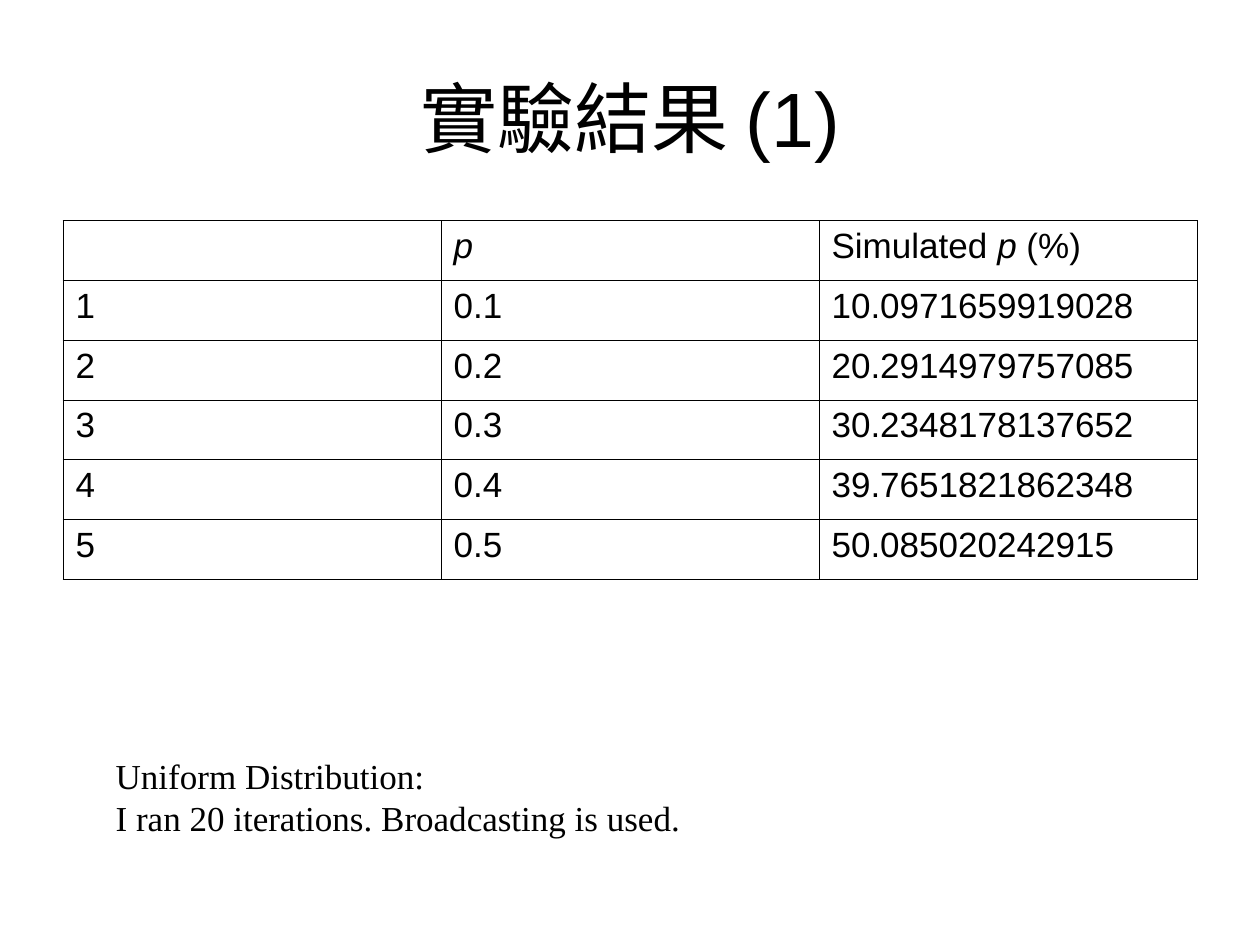
"""Build the slide with the first experiment's simulated probabilities."""
from pptx import Presentation
from pptx.dml.color import RGBColor
from pptx.enum.text import MSO_ANCHOR as Anchor, MSO_AUTO_SIZE as AutoSize, PP_ALIGN as Align
from pptx.oxml import parse_xml
from pptx.oxml.ns import nsdecls
from pptx.util import Pt

BLACK = RGBColor(0, 0, 0)
BORDER_WIDTH = Pt(0.45)
ROW_HEIGHT = Pt(34.2)
COLUMN_WIDTH = Pt(216)
ROWS = [
    ([""], ["p"], ["Simulated ", "p", " (%)"]),
    (["1"], ["0.1"], ["10.0971659919028"]),
    (["2"], ["0.2"], ["20.2914979757085"]),
    (["3"], ["0.3"], ["30.2348178137652"]),
    (["4"], ["0.4"], ["39.7651821862348"]),
    (["5"], ["0.5"], ["50.085020242915"]),
]


def format_run(r, size, font):
    r.font.size = Pt(size)
    r.font.name = font
    r.font.color.rgb = BLACK


def add_text(slide, box, lines, size, font, align=Align.LEFT, wrap=True):
    sp = slide.shapes.add_textbox(*map(Pt, box))
    tf = sp.text_frame
    tf.text = "\n".join(lines)
    tf.word_wrap = wrap
    tf.auto_size = AutoSize.NONE if wrap else AutoSize.SHAPE_TO_FIT_TEXT
    tf.vertical_anchor = Anchor.MIDDLE
    for p in tf.paragraphs:
        p.alignment = align
        for r in p.runs:
            format_run(r, size, font)


def set_borders(cell):
    tc_pr = cell._tc.get_or_add_tcPr()
    for i, side in enumerate("LRTB"):
        tc_pr.insert(i, parse_xml(
            f'<a:ln{side} {nsdecls("a")} w="{BORDER_WIDTH}"><a:solidFill>'
            f'<a:srgbClr val="{BLACK}"/></a:solidFill></a:ln{side}>'))


def fill_cell(cell, parts):
    cell.fill.background()
    set_borders(cell)
    p = cell.text_frame.paragraphs[0]
    p.font.size = Pt(20)
    for part in filter(None, parts):
        r = p.add_run()
        r.text = part
        format_run(r, 20, "Arial")
        r.font.italic = part == "p"


def add_results_table(slide, left, top):
    n_rows, n_cols = len(ROWS), len(ROWS[0])
    table = slide.shapes.add_table(n_rows, n_cols, left, top,
                                   COLUMN_WIDTH * n_cols, ROW_HEIGHT * n_rows).table
    table.first_row = table.horz_banding = False
    for row, values in zip(table.rows, ROWS):
        row.height = ROW_HEIGHT
        for cell, parts in zip(row.cells, values):
            fill_cell(cell, parts)


def main():
    prs = Presentation()
    prs.slide_width, prs.slide_height = Pt(720), Pt(540)
    slide = prs.slides.add_slide(prs.slide_layouts[6])
    add_text(slide, (36, 21.6, 648, 90), ["實驗結果 (1)"], 44, "Arial", Align.CENTER)
    add_results_table(slide, Pt(36), Pt(126))
    add_text(slide, (59, 427.7, 337, 55.4),
             ["Uniform Distribution:", "I ran 20 iterations. Broadcasting is used."],
             20, "Times New Roman", wrap=False)
    prs.save("out.pptx")


if __name__ == "__main__":
    main()
